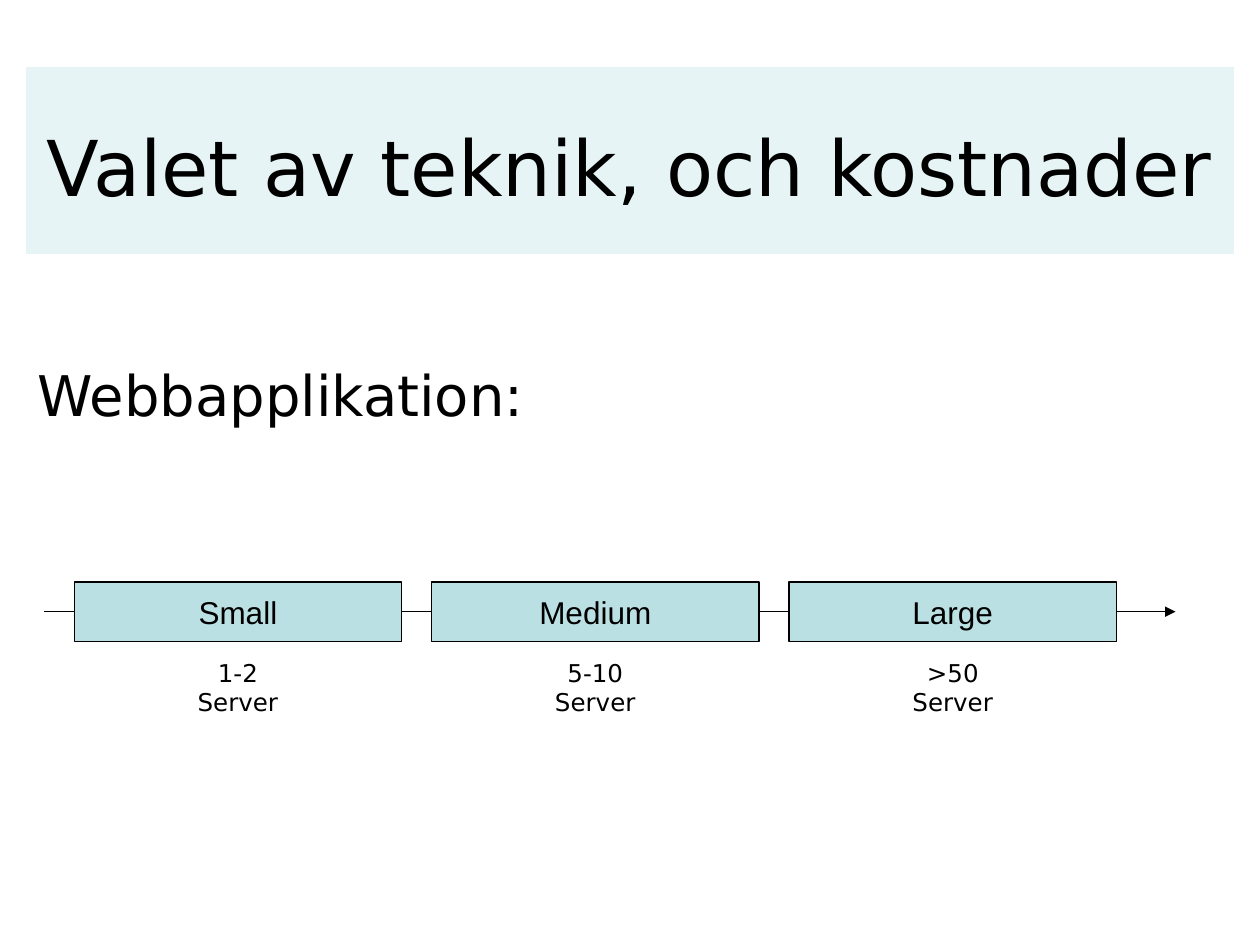
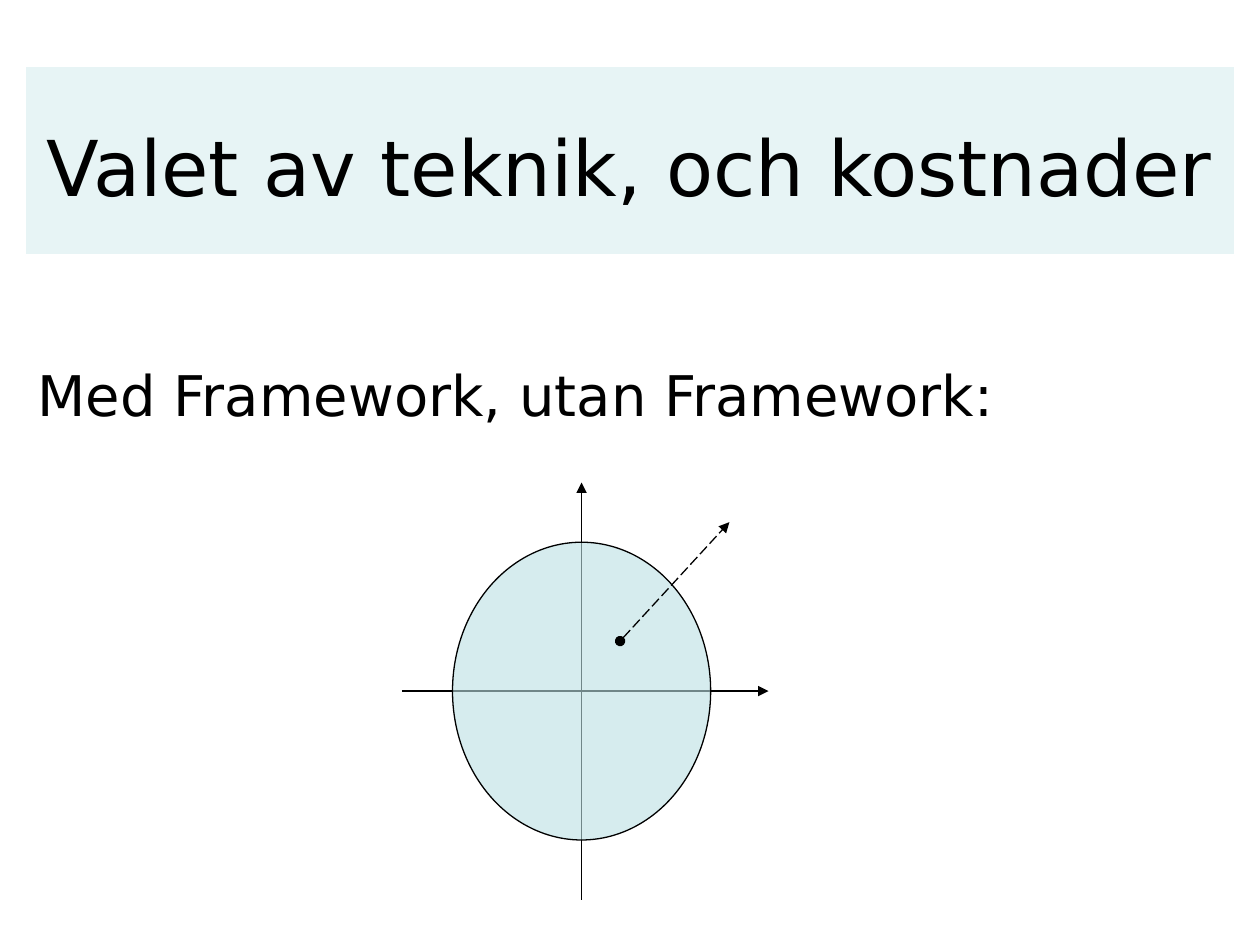
from collections import namedtuple
from dataclasses import dataclass

import pptx
import pptx.dml.color
import pptx.enum.dml
import pptx.enum.shapes
import pptx.enum.text
import pptx.oxml.ns
import pptx.util
from lxml import etree

Inches, Pt = pptx.util.Inches, pptx.util.Pt
SHAPE = pptx.enum.shapes.MSO_SHAPE
ALIGN = pptx.enum.text.PP_ALIGN
ANCHOR = pptx.enum.text.MSO_ANCHOR
qn = pptx.oxml.ns.qn

Box = namedtuple("Box", "x y w h")


@dataclass(frozen=True)
class Theme:
    teal: str = "BBE0E3"
    ink: str = "000000"
    paper: str = "FFFFFF"
    font: str = "DejaVu Sans"
    box_font: str = "Arial"
    title: int = 44
    heading: int = 32
    box: int = 18
    label: int = 14
    line: float = 0.75


T = Theme()
SLIDE = Box(0, 0, 10, 7.5)
TITLE = "Valet av teknik, och kostnader"


def rgb(color):
    return pptx.dml.color.RGBColor.from_string(color)


def place(shape, box):
    shape.left, shape.top, shape.width, shape.height = map(Inches, box)


def write(shape, text, size, font=T.font, align=ALIGN.CENTER, anchor=ANCHOR.TOP):
    tf = shape.text_frame
    tf.word_wrap = True
    tf.auto_size = pptx.enum.text.MSO_AUTO_SIZE.NONE
    tf.vertical_anchor = anchor
    p = tf.paragraphs[0]
    p.alignment = align
    r = p.add_run()
    r.text = text
    r.font.size, r.font.name = Pt(size), font
    r.font.color.rgb = rgb(T.ink)
    return p


def add_text(s, box, text, size, **style):
    return write(s.shapes.add_textbox(*map(Inches, box)), text, size, **style)


def add_filled(s, kind, box, line=T.ink, opacity=100):
    """Add a teal shape; opacity is in percent."""
    sp = s.shapes.add_shape(kind, *map(Inches, box))
    sp.shadow.inherit = False
    sp.fill.solid()
    sp.fill.fore_color.rgb = rgb(T.teal)
    sp.line.color.rgb = rgb(line)
    sp.line.width = Pt(T.line)
    if opacity < 100:
        color = sp.fill._xPr.find(".//" + qn("a:srgbClr"))
        etree.SubElement(color, qn("a:alpha"), val=str(opacity * 1000))
    return sp


def add_arrow(s, start, end, dash=None, head=None):
    """Add a line with a triangle at its end and, if named, a head at its start."""
    straight = pptx.enum.shapes.MSO_CONNECTOR.STRAIGHT
    c = s.shapes.add_connector(straight, *map(Inches, (*start, *end)))
    c.line.color.rgb = rgb(T.ink)
    c.line.width = Pt(T.line)
    if dash:
        c.line.dash_style = dash
    ln = c.line._get_or_add_ln()
    if head:
        etree.SubElement(ln, qn("a:headEnd"), type=head)
    etree.SubElement(ln, qn("a:tailEnd"), type="triangle")
    etree.SubElement(ln.getparent(), qn("a:effectLst"))


def add_slide(prs, heading):
    """Start a slide with the title on its band and a heading below."""
    s = prs.slides.add_slide(prs.slide_layouts[5])
    margin = 0.02 * SLIDE.w
    inner = SLIDE.w - 2 * margin
    top = 0.07 * SLIDE.h

    title = s.shapes.title
    place(title, Box(0, top, SLIDE.w, 0.21 * SLIDE.h))
    write(title, TITLE, T.title, anchor=ANCHOR.MIDDLE)
    band = add_filled(s, SHAPE.RECTANGLE, Box(margin, top, inner, 0.2 * SLIDE.h),
                      line=T.paper, opacity=35)
    title.element.addprevious(band.element)

    p = add_text(s, Box(margin, 0.375 * SLIDE.h, inner, 0.71), heading,
                 T.heading, align=ALIGN.LEFT)
    p.space_before = Pt(8)
    return s


def draw_scale(s, box, steps):
    """Draw an arrow through equal boxes, each with a label below it."""
    box_h, lead, gap, label_w, label_gap = 0.47, 0.24, 0.24, 1.1, 0.08
    w = (box.w - 2 * lead - 0.23 - (len(steps) - 1) * gap) / len(steps)
    mid = box.y + box_h / 2
    add_arrow(s, (box.x, mid), (box.x + box.w, mid))
    for i, (name, servers) in enumerate(steps):
        x = box.x + lead + i * (w + gap)
        sp = add_filled(s, SHAPE.RECTANGLE, Box(x, box.y, w, box_h))
        write(sp, name, T.box, font=T.box_font, anchor=ANCHOR.MIDDLE)
        label_y = box.y + box_h + label_gap
        add_text(s, Box(x + (w - label_w) / 2, label_y, label_w, box.h - box_h - label_gap),
                 servers, T.label)


def draw_axes(s, box):
    """Draw two crossing axes under an ellipse, and a dashed arrow out of it."""
    def at(fx, fy):
        return box.x + fx * box.w, box.y + fy * box.h

    cx, cy = 0.49, 0.5
    rx, ry = 0.352, 0.357
    add_arrow(s, at(cx, 1), at(cx, 0))
    add_arrow(s, at(0, cy), at(1, cy))
    ellipse = Box(*at(cx - rx, cy - ry), 2 * rx * box.w, 2 * ry * box.h)
    add_filled(s, SHAPE.OVAL, ellipse, opacity=60)
    add_arrow(s, at(0.595, 0.38), at(0.893, 0.095),
              dash=pptx.enum.dml.MSO_LINE.LONG_DASH, head="oval")


def main():
    prs = pptx.Presentation()
    prs.slide_width, prs.slide_height = Inches(SLIDE.w), Inches(SLIDE.h)

    s = add_slide(prs, "Webbapplikation:")
    draw_scale(s, Box(0.35, 4.62, 8.98, 1.1),
               [("Small", "1-2 Server"), ("Medium", "5-10 Server"), ("Large", ">50 Server")])

    s = add_slide(prs, "Med Framework, utan Framework:")
    draw_axes(s, Box(3.19, 3.83, 2.91, 3.31))

    prs.save("out.pptx")


if __name__ == "__main__":
    main()
